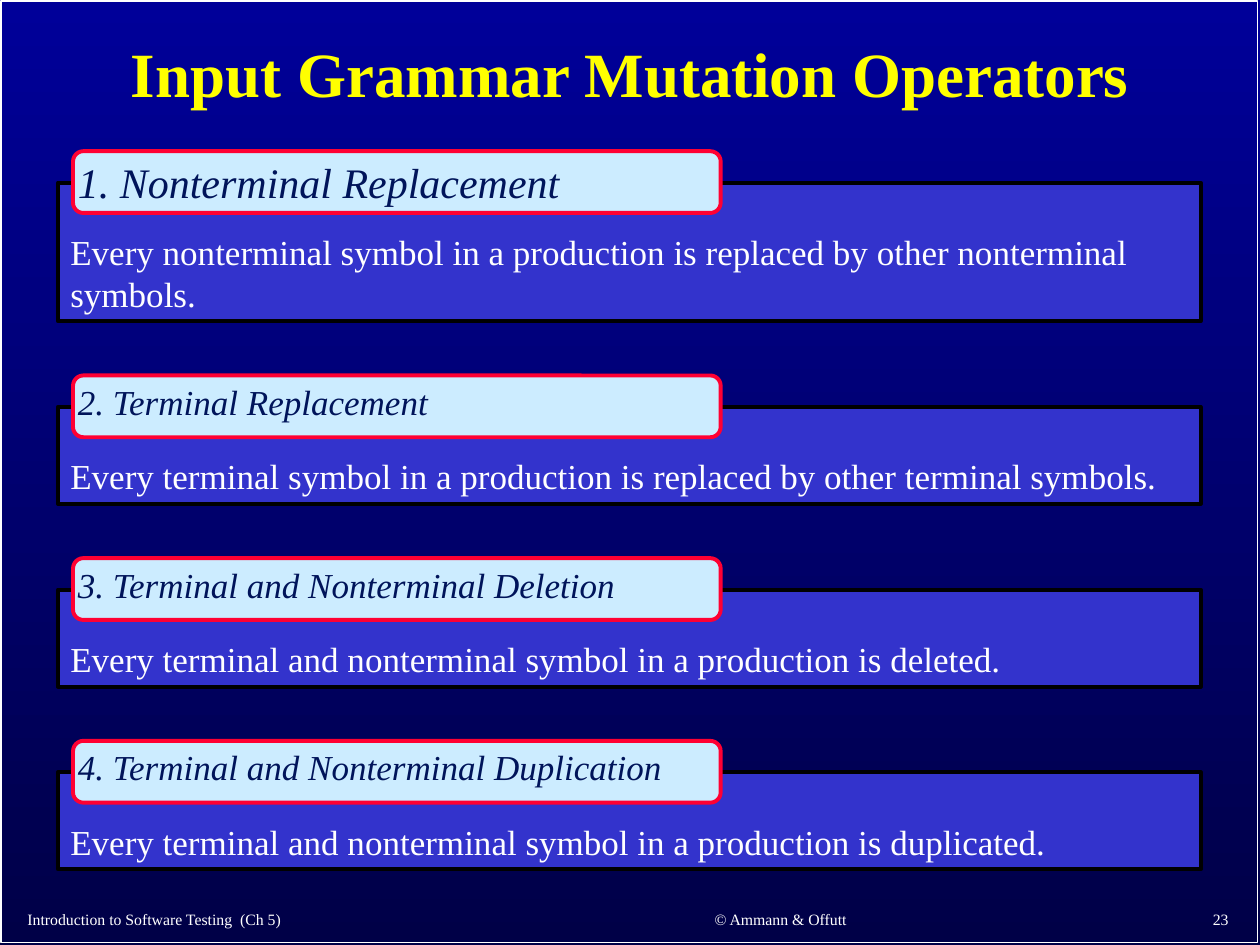
from pptx import Presentation
from pptx.dml.color import RGBColor
from pptx.enum import shapes, text
from pptx.util import Inches, Pt


def rgb(value):
    return RGBColor.from_string(value)


def write(sp, words, color, size, align="LEFT", anchor="TOP", wrap=True, **font):
    tf = sp.text_frame
    tf.word_wrap = wrap
    tf.vertical_anchor = getattr(text.MSO_ANCHOR, anchor)
    p = tf.paragraphs[0]
    p.alignment = getattr(text.PP_ALIGN, align)
    r = p.add_run()
    r.text = words
    r.font.color.rgb = rgb(color)
    for key, value in {"name": "Times New Roman", "size": Pt(size), **font}.items():
        setattr(r.font, key, value)
    return p


prs = Presentation()
prs.slide_width, prs.slide_height = Inches(10), Inches(7.5)
s = prs.slides.add_slide(prs.slide_layouts[5])

bg = s.background.fill
bg.gradient()
bg.gradient_angle = 270
for stop, color in zip(bg.gradient_stops, ("000099", "000047")):
    stop.color.rgb = rgb(color)

title = s.shapes.title
title.left, title.top, title.width, title.height = map(Inches, (0.1, 0.11, 9.8, 1))
p = write(title, "Input Grammar Mutation Operators", "FFFF00", 36, "CENTER", "MIDDLE", bold=True)
p.line_spacing = 0.9

frame = s.shapes.add_shape(shapes.MSO_SHAPE.RECTANGLE, Inches(0.01), Inches(0.01),
                           Inches(9.97), Inches(7.47))
frame.shadow.inherit = False
frame.fill.background()
frame.line.color.rgb = rgb("FFFFFF")
frame.line.width = Pt(1)
# The frame lies behind the title
title.element.addprevious(frame.element)

# Top of the panel, its height, heading size, heading, description
operators = [
    (1.45, 1.1, 24, "1. Nonterminal Replacement",
     "Every nonterminal symbol in a production is replaced by other nonterminal symbols."),
    (3.23, 0.77, 20, "2. Terminal Replacement",
     "Every terminal symbol in a production is replaced by other terminal symbols."),
    (4.68, 0.77, 20, "3. Terminal and Nonterminal Deletion",
     "Every terminal and nonterminal symbol in a production is deleted."),
    (6.13, 0.77, 20, "4. Terminal and Nonterminal Duplication",
     "Every terminal and nonterminal symbol in a production is duplicated."),
]
for top, height, size, heading, description in operators:
    group = s.shapes.add_group_shape()
    panel = group.shapes.add_shape(shapes.MSO_SHAPE.RECTANGLE, Inches(0.46), Inches(top),
                                   Inches(9.07), Inches(height))
    tab = group.shapes.add_shape(shapes.MSO_SHAPE.ROUNDED_RECTANGLE, Inches(0.58),
                                 Inches(top - 0.25), Inches(5.14), Inches(0.49))
    for sp, fill, line in ((panel, "3333CC", "000000"), (tab, "CCECFF", "FF0033")):
        sp.shadow.inherit = False
        sp.fill.solid()
        sp.fill.fore_color.rgb = rgb(fill)
        sp.line.color.rgb = rgb(line)
        sp.line.width = Pt(2.25)
    # The description starts below the overlapping tab
    panel.text_frame.margin_top = Inches(0.38)
    write(panel, description, "FFFFFF", 20)
    label = group.shapes.add_textbox(Inches(0.52), Inches(top - 0.26), Inches(5.24),
                                     Inches(0.1 + size / 60))
    write(label, heading, "00145A", size, italic=True)

footers = [
    (0.12, 7.11, 4.27, 0.31, "LEFT", "Introduction to Software Testing  (Ch 5)"),
    (4.61, 7.14, 3.17, 0.28, "CENTER", "© Ammann & Offutt"),
    (7.88, 7.13, 1.97, 0.29, "RIGHT", "23"),
]
for left, top, width, height, align, words in footers:
    sp = s.shapes.add_textbox(Inches(left), Inches(top), Inches(width), Inches(height))
    write(sp, words, "FFFFFF", 9, align, "BOTTOM", wrap=False)

prs.save("out.pptx")
